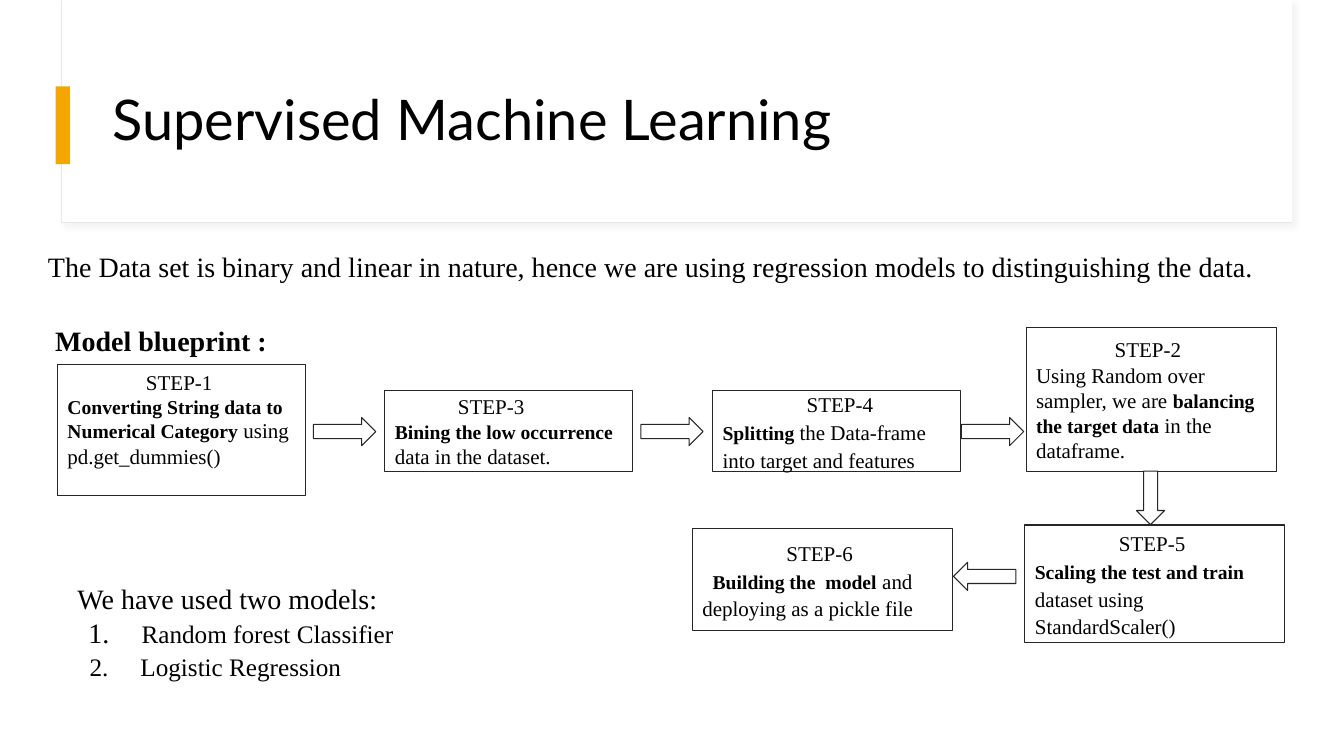
import pptx
import pptx.util
import pptx.dml.color
import pptx.enum.shapes
import pptx.enum.text
import lxml.etree
from pptx.util import Cm, Pt

COLORS = {"white": "FFFFFF", "ink": "000000", "outline": "262626",
          "frame": "E8E8E8", "shade": "D8D8D8", "accent": "F5A700"}
SERIF = "Times New Roman"
DRAWING_NS = "http://schemas.openxmlformats.org/drawingml/2006/main"
SHAPES = pptx.enum.shapes.MSO_SHAPE
MIDDLE = pptx.enum.text.MSO_ANCHOR.MIDDLE

deck = pptx.Presentation()
deck.slide_width, deck.slide_height = Cm(33.87), Cm(19.05)
slide = deck.slides.add_slide(deck.slide_layouts[6])


def add_block(kind, left, top, width, height, fill="white", line=None):
    block = slide.shapes.add_shape(kind, Cm(left), Cm(top), Cm(width), Cm(height))
    block.shadow.inherit = False
    block.fill.solid()
    block.fill.fore_color.rgb = pptx.dml.color.RGBColor.from_string(COLORS[fill])
    if line:
        block.line.color.rgb = pptx.dml.color.RGBColor.from_string(COLORS[line])
        block.line.width = Pt(0.75)
    else:
        block.line.fill.background()
    return block


def style(paragraph, size, font=SERIF, spacing=1.0, margin=0, indent=0, bold=False):
    """Set one paragraph's font, line spacing and indents (in cm)."""
    paragraph.alignment = pptx.enum.text.PP_ALIGN.LEFT
    paragraph.line_spacing = spacing
    paragraph.font.name = font
    paragraph.font.size = Pt(size)
    paragraph.font.bold = bold
    paragraph.font.color.rgb = pptx.dml.color.RGBColor.from_string(COLORS["ink"])
    properties = paragraph._p.get_or_add_pPr()
    properties.set("marL", str(Cm(margin)))
    properties.set("indent", str(Cm(indent)))


# Title panel with a soft shadow and an accent bar
frame = add_block(SHAPES.RECTANGLE, 1.55, 0, 31.01, 5.61, line="frame")
effects = frame._element.spPr.find(f"{{{DRAWING_NS}}}effectLst")
effects.append(lxml.etree.fromstring(
    f'<a:outerShdw xmlns:a="{DRAWING_NS}" blurRad="{Pt(4)}" dist="{Pt(3)}" dir="2700000">'
    f'<a:srgbClr val="{COLORS["shade"]}"><a:alpha val="30000"/></a:srgbClr></a:outerShdw>'))
add_block(SHAPES.RECTANGLE, 1.57, 0, 30.99, 5.59)
add_block(SHAPES.RECTANGLE, 1.4, 2.18, 0.36, 1.96, fill="accent")

title = slide.shapes.add_textbox(Cm(2.59), Cm(2.11), Cm(28.24), Cm(1.96)).text_frame
title.word_wrap = True
title.vertical_anchor = MIDDLE
title.text = "Supervised Machine Learning"
style(title.paragraphs[0], 40, font="Lato", spacing=0.9)

# Running text: wording, size, bold, margin, indent, space before, number size in %
body_lines = [
    ("The Data set is binary and linear in nature, hence we are using regression models "
     "to distinguishing the data.", 20, False, 0.53, 0, 0, None),
    ("Model blueprint :", 20, True, 0.71, 0, 26.4, None),
    ("We have used two models:", 20, False, 1.27, 0, 158.4, None),
    ("Random forest Classifier", 18, False, 2.89, -1.34, 0, 111),
    ("Logistic Regression", 18, False, 2.86, -1.28, 0, 100),
]
body = slide.shapes.add_textbox(Cm(0.43), Cm(6.07), Cm(32.82), Cm(13)).text_frame
body.word_wrap = True
for index, (wording, size, bold, margin, indent, before, number) in enumerate(body_lines):
    paragraph = body.paragraphs[0] if index == 0 else body.add_paragraph()
    paragraph.text = wording
    paragraph.space_before = Pt(before)
    if number:
        properties = paragraph._p.get_or_add_pPr()
        lxml.etree.SubElement(properties, f"{{{DRAWING_NS}}}buSzPct", val=str(number * 1000))
        lxml.etree.SubElement(properties, f"{{{DRAWING_NS}}}buFont", typeface=SERIF)
        lxml.etree.SubElement(properties, f"{{{DRAWING_NS}}}buAutoNum", type="arabicPeriod")
    style(paragraph, size, spacing=1.1, margin=margin, indent=indent, bold=bold)

# Steps: heading, box, heading margin, line spacing, first-line indent, bottom inset,
# then paragraphs of (wording, bold) runs
steps = [
    ("STEP-1", (1.45, 9.19, 6.25, 3.3), 1.98, 1.0, 0, 0.82,
     [[("Converting String data to", True)],
      [("Numerical Category", True), (" using", False)],
      [("pd.get_dummies()", False)]]),
    ("STEP-2", (25.86, 8.26, 6.3, 3.63), 1.98, 1.0, 0, 0.25,
     [[("Using Random over sampler, we are ", False), ("balancing the target data", True),
       (" in the dataframe.", False)]]),
    ("STEP-3", (9.7, 9.83, 6.25, 2.06), 1.59, 1.0, 0, 0.25,
     [[("Bining the low occurrence", True), (" data in the dataset.", False)]]),
    ("STEP-4", (17.96, 9.83, 6.25, 2.06), 2.12, 1.1, 0, 0.25,
     [[("Splitting ", True), ("the Data-frame into target and features", False)]]),
    ("STEP-5", (25.83, 13.23, 6.55, 2.95), 2.12, 1.1, 0, 0.25,
     [[("Scaling the test and train", True), (" dataset using StandardScaler()", False)]]),
    ("STEP-6", (17.45, 13.31, 6.55, 2.59), 2.12, 1.1, 0.26, 0.25,
     [[("Building the  model", True), (" and deploying as a pickle file", False)]]),
]
for heading, box, heading_margin, spacing, indent, bottom, details in steps:
    step = add_block(SHAPES.RECTANGLE, *box, line="outline").text_frame
    step.word_wrap = True
    step.vertical_anchor = MIDDLE
    step.margin_left = step.margin_right = step.margin_top = Cm(0.25)
    step.margin_bottom = Cm(bottom)
    step.text = heading
    style(step.paragraphs[0], 15, spacing=spacing, margin=heading_margin)
    for detail in details:
        paragraph = step.add_paragraph()
        style(paragraph, 15, spacing=spacing, indent=indent)
        for wording, bold in detail:
            run = paragraph.add_run()
            run.text = wording
            if bold:
                run.font.bold = True
                run.font.size = Pt(14)

# Arrows between the steps: left, top, length, rotation
arrows = [(7.9, 10.52, 1.57, 0), (16.15, 10.52, 1.57, 0), (24.23, 10.52, 1.57, 0),
          (28.32, 12.19, 1.35, 90), (24.03, 14.17, 1.57, 180)]
for left, top, length, rotation in arrows:
    arrow = add_block(SHAPES.RIGHT_ARROW, left, top, length, 0.71, line="outline")
    arrow.rotation = rotation

deck.save("out.pptx")
